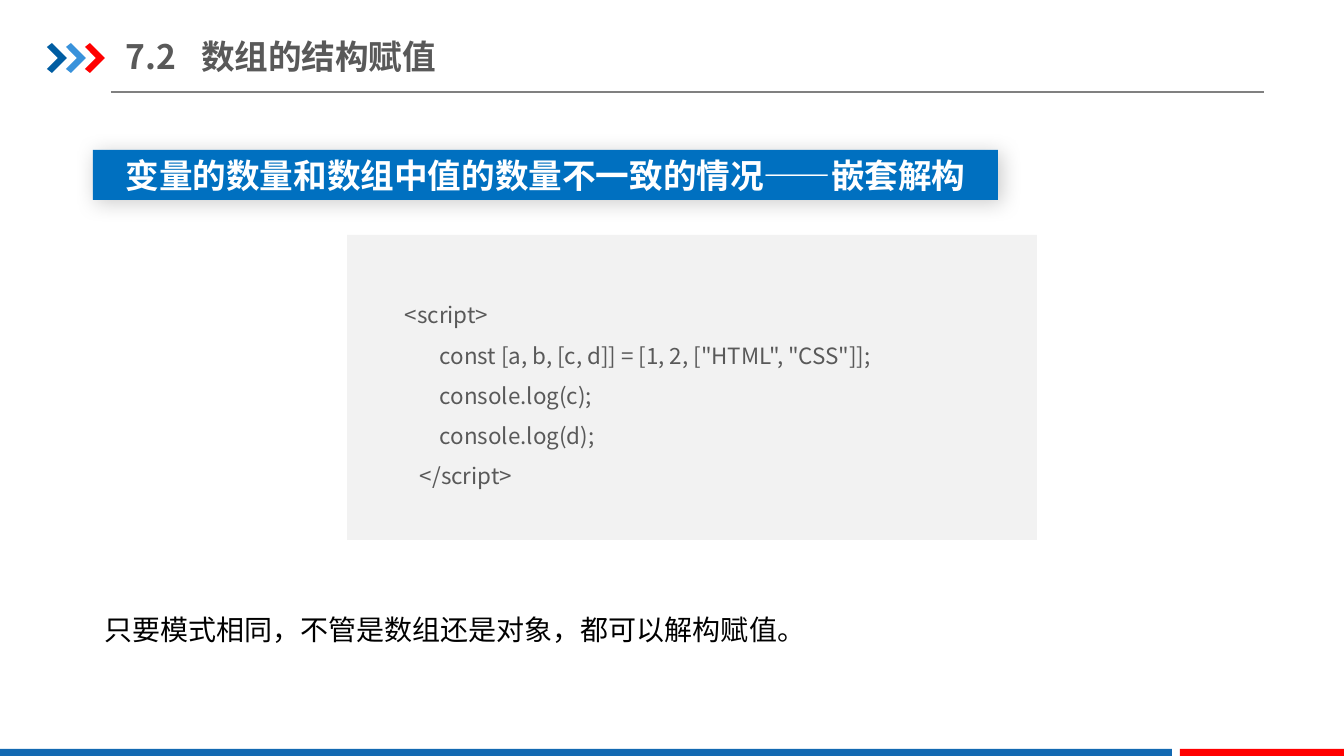
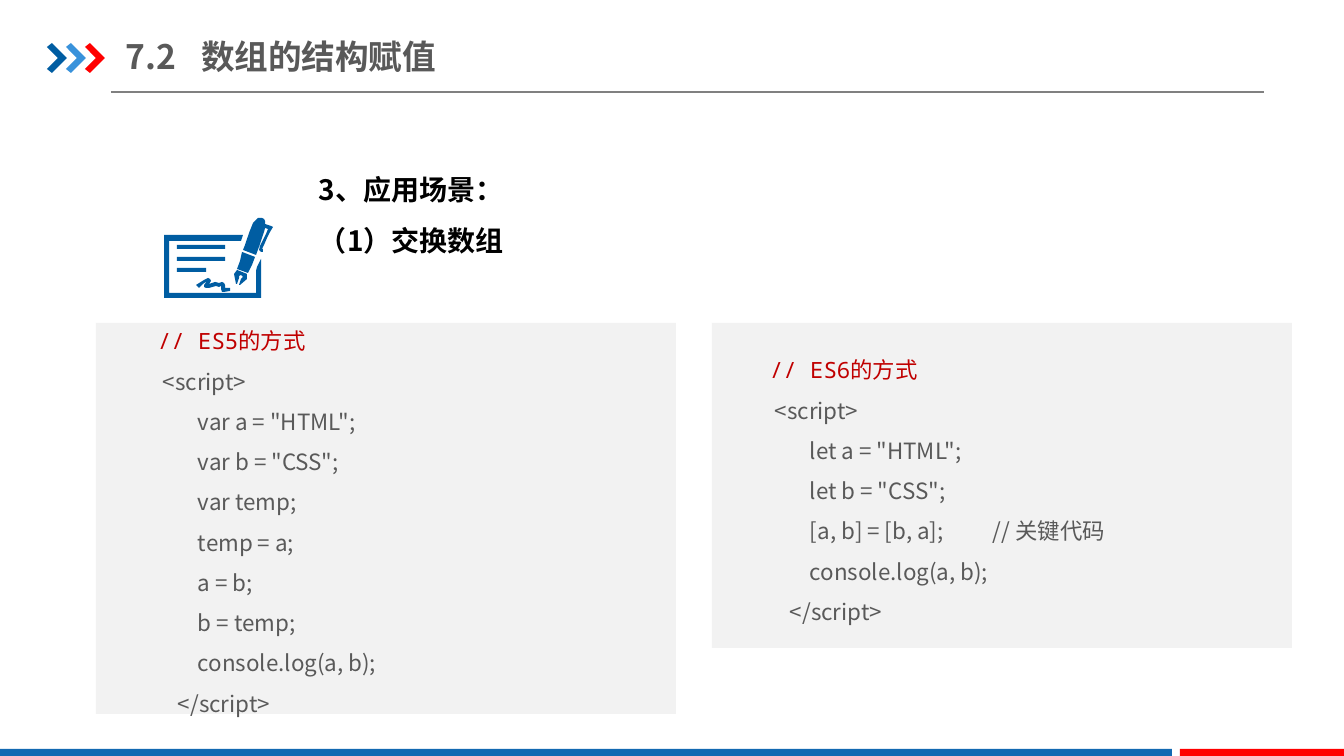
from dataclasses import dataclass

from lxml.etree import SubElement
from pptx import Presentation
from pptx.dml.color import RGBColor
from pptx.enum.shapes import MSO_CONNECTOR as Connector, MSO_SHAPE as Shape
from pptx.enum.text import MSO_ANCHOR as Anchor, MSO_AUTO_SIZE as AutoSize, PP_ALIGN as Align
from pptx.oxml import parse_xml
from pptx.oxml.ns import nsdecls, qn
from pptx.slide import Slide, SlideLayout
from pptx.util import Emu, Pt

# Shared measures, colours and fonts
WIDTH, HEIGHT = 1344, 756
SCALE = 12192000 / WIDTH
SANS, MONO = "Noto Sans CJK SC", "Noto Sans Mono"
NAVY, SKY, RED, BAR_BLUE, BANNER_BLUE = "005DA2", "3992DB", "FF0000", "1369B2", "0070C0"
GREY, RULE_GREY, PANEL_GREY = "595959", "808080", "F2F2F2"
BLACK, WHITE, COMMENT_RED = "000000", "FFFFFF", "C00000"
CODE_TABS = (20, 40, 223)
TITLE_TABS = (75,)
TITLE = "7.2\t数组的结构赋值"

Points = list[tuple[int, int]]


@dataclass(frozen=True)
class Area:
    left: int
    top: int
    width: int
    height: int


@dataclass(frozen=True)
class Style:
    size: int
    color: str
    bold: bool = False
    font: str = SANS
    spacing: float = 1.0
    align: Align = Align.LEFT
    tabs: tuple[int, ...] = ()


@dataclass(frozen=True)
class CodePanel:
    panel: Area
    text: Area
    lines: list[str]
    comment: str = ""


TITLE_STYLE = Style(24, GREY, bold=True, tabs=TITLE_TABS)
BANNER_STYLE = Style(24, WHITE, bold=True, align=Align.CENTER)
NOTE_STYLE = Style(20, BLACK, spacing=1.5)
HEADING_STYLE = Style(20, BLACK, bold=True, spacing=1.5)
CODE_STYLE = Style(16, GREY, spacing=1.5, tabs=CODE_TABS)
COMMENT_STYLE = Style(16, COMMENT_RED, font=MONO, spacing=1.5)


def px(length: int) -> Emu:
    return Emu(round(length * SCALE))


def colour(code: str) -> RGBColor:
    return RGBColor.from_string(code)


def place(shape, area: Area) -> None:
    shape.left, shape.top = px(area.left), px(area.top)
    shape.width, shape.height = px(area.width), px(area.height)


# Text
def style_paragraph(para, style: Style) -> None:
    para.alignment = style.align
    para.line_spacing = style.spacing
    font = para.font
    font.size, font.bold, font.name = Pt(style.size), style.bold, style.font
    font.color.rgb = colour(style.color)
    defaults = para._p.pPr.find(qn("a:defRPr"))
    SubElement(defaults, qn("a:ea")).set("typeface", SANS)
    if style.tabs:
        stops = parse_xml(f"<a:tabLst {nsdecls('a')}/>")
        for stop in style.tabs:
            tab = SubElement(stops, qn("a:tab"))
            tab.set("pos", str(px(stop)))
            tab.set("algn", "l")
        defaults.addprevious(stops)


def write(shape, lines: list[tuple[str, Style]], inset: tuple[int, int] = (10, 5),
          anchor: Anchor = Anchor.TOP) -> None:
    frame = shape.text_frame
    frame.word_wrap = True
    frame.auto_size = AutoSize.NONE
    frame.vertical_anchor = anchor
    frame.margin_left = frame.margin_right = px(inset[0])
    frame.margin_top = frame.margin_bottom = px(inset[1])
    for number, (text, style) in enumerate(lines):
        para = frame.add_paragraph() if number else frame.paragraphs[0]
        para.text = text
        style_paragraph(para, style)


def add_text(page: Slide, area: Area, lines: list[tuple[str, Style]],
             inset: tuple[int, int] = (10, 5)) -> None:
    box = page.shapes.add_textbox(0, 0, 0, 0)
    place(box, area)
    write(box, lines, inset)


# Shapes
def paint(shape, fill: str) -> None:
    shape.shadow.inherit = False
    shape.fill.solid()
    shape.fill.fore_color.rgb = colour(fill)
    shape.line.fill.background()


def add_rectangle(page: Slide, area: Area, fill: str):
    rectangle = page.shapes.add_shape(Shape.RECTANGLE, 0, 0, 0, 0)
    place(rectangle, area)
    paint(rectangle, fill)
    return rectangle


def add_outline(page: Slide, contours: list[Points], fill: str):
    builder = page.shapes.build_freeform(*contours[0][0], scale=SCALE)
    for number, contour in enumerate(contours):
        if number:
            builder.move_to(*contour[0])
        builder.add_line_segments(contour[1:], close=True)
    outline = builder.convert_to_shape()
    paint(outline, fill)
    return outline


def add_rule(page: Slide, left: int, right: int, top: int):
    rule = page.shapes.add_connector(Connector.STRAIGHT, px(left), px(top), px(right), px(top))
    rule.line.color.rgb = colour(RULE_GREY)
    rule.line.width = Pt(0.75)
    SubElement(rule.element.spPr, qn("a:effectLst"))
    return rule


# Shared layout: rule, chevrons and footer bars
CHEVRON: Points = [(47, 47), (52, 43), (67, 58), (52, 73), (47, 69), (58, 58)]
CHEVRON_STEP = 19


def furnish(layout: SlideLayout, page: Slide) -> None:
    parts = [add_rule(page, 111, 1264, 92)]
    for number, fill in enumerate((NAVY, SKY, RED)):
        shifted = [(x + number * CHEVRON_STEP, y) for x, y in CHEVRON]
        parts.append(add_outline(page, [shifted], fill))
    parts.append(add_rectangle(page, Area(0, 749, 1172, 7), BAR_BLUE))
    parts.append(add_rectangle(page, Area(1180, 749, 164, 7), RED))
    for number, part in enumerate(parts, start=20):
        part.element.xpath(".//p:cNvPr")[0].set("id", str(number))
        layout.shapes.element.append(part.element)


def add_title(page: Slide) -> None:
    title = page.shapes.title
    place(title, Area(126, 29, 429, 55))
    write(title, [(TITLE, TITLE_STYLE)], (0, 7), Anchor.MIDDLE)


# Slide parts
def add_code(page: Slide, code: CodePanel) -> None:
    add_rectangle(page, code.panel, PANEL_GREY)
    comment = [(code.comment, COMMENT_STYLE)] if code.comment else []
    add_text(page, code.text, comment + [(line, CODE_STYLE) for line in code.lines])


def add_banner(page: Slide, area: Area, text: str) -> None:
    banner = add_rectangle(page, area, BANNER_BLUE)
    write(banner, [(text, BANNER_STYLE)], anchor=Anchor.MIDDLE)
    effects = banner.element.spPr.find(qn("a:effectLst"))
    effects.append(parse_xml(
        f'<a:outerShdw {nsdecls("a")} blurRad="{Pt(15)}" dist="{Pt(3)}" dir="2700000" '
        f'algn="tl" rotWithShape="0"><a:srgbClr val="{BLACK}"><a:alpha val="20000"/>'
        "</a:srgbClr></a:outerShdw>"))


def box_points(left: int, top: int, right: int, bottom: int) -> Points:
    return [(left, top), (left, bottom), (right, bottom), (right, top)]


SHEET: Points = [
    (164, 235), (243, 235), (241, 241), (169, 241), (169, 293), (256, 293), (256, 271),
    (257, 267), (259, 263), (261, 259), (261, 298), (164, 298)]
SIGNATURE: Points = [
    (196, 285), (199, 288), (203, 284), (207, 281), (204, 285), (204, 287), (206, 288),
    (209, 288), (216, 286), (219, 287), (221, 286), (221, 289), (222, 292), (224, 292),
    (230, 291), (230, 288), (225, 288), (225, 285), (224, 283), (222, 282), (219, 283),
    (215, 282), (209, 284), (211, 281), (210, 279), (208, 278), (204, 280)]
PEN_GRIP: Points = [(255, 257), (242, 252), (240, 261), (237, 269), (248, 273), (252, 265)]
PEN_NIB: Points = [
    (237, 270), (234, 274), (236, 284), (237, 284), (239, 278), (239, 276), (241, 275),
    (243, 277), (241, 279), (239, 285), (240, 285), (247, 279), (247, 274)]
PEN_BARREL: Points = [
    (264, 232), (265, 228), (268, 229), (266, 234), (263, 240), (260, 246), (259, 250),
    (260, 251), (261, 252), (263, 252), (263, 249), (262, 249), (264, 245), (267, 238),
    (270, 232), (273, 227), (271, 226), (265, 224), (265, 221), (264, 219), (262, 218),
    (258, 218), (256, 220), (253, 223), (251, 228), (249, 233), (245, 245), (243, 250),
    (256, 255), (260, 244)]
WRITTEN_LINES = [box_points(177, top, right, top + 4)
                 for top, right in ((245, 225), (257, 225), (268, 206))]

NESTED = CodePanel(Area(347, 235, 690, 305), Area(390, 283, 603, 209), [
    " <script>",
    '\t\tconst [a, b, [c, d]] = [1, 2, ["HTML", "CSS"]];',
    "\t\tconsole.log(c);",
    "\t\tconsole.log(d);",
    "\t</script>"])
SWAP_ES6 = CodePanel(Area(712, 323, 580, 325), Area(760, 338, 507, 295), [
    " <script>",
    '\t\tlet a = "HTML";',
    '\t\tlet b = "CSS";',
    "\t\t[a, b] = [b, a];\t// 关键代码",
    "\t\tconsole.log(a, b);",
    "\t</script>"], "// ES6的方式")
SWAP_ES5 = CodePanel(Area(96, 323, 580, 391), Area(148, 309, 507, 417), [
    " <script>",
    '\t\tvar a = "HTML";',
    '\t\tvar b = "CSS";',
    "\t\tvar temp;",
    "\t\ttemp = a;",
    "\t\ta = b;",
    "\t\tb = temp;",
    "\t\tconsole.log(a, b);",
    "\t</script>"], "// ES5的方式")


def build_nested(page: Slide) -> None:
    add_title(page)
    add_code(page, NESTED)
    add_banner(page, Area(93, 150, 905, 50), "变量的数量和数组中值的数量不一致的情况——嵌套解构")
    add_text(page, Area(91, 589, 1151, 58),
             [("只要模式相同，不管是数组还是对象，都可以解构赋值。", NOTE_STYLE)], (13, 7))


def build_swap(page: Slide) -> None:
    add_title(page)
    headings = ("3、应用场景：", "（1）交换数组")
    add_text(page, Area(306, 149, 953, 115),
             [(heading, HEADING_STYLE) for heading in headings], (13, 7))
    add_outline(page, [SHEET, *WRITTEN_LINES, SIGNATURE, PEN_GRIP, PEN_NIB, PEN_BARREL], NAVY)
    for code in (SWAP_ES6, SWAP_ES5):
        add_code(page, code)


def main() -> None:
    deck = Presentation()
    deck.slide_width, deck.slide_height = px(WIDTH), px(HEIGHT)
    layout = deck.slide_layouts[5]
    pages = [deck.slides.add_slide(layout) for _ in range(2)]
    furnish(layout, pages[0])
    for page, build in zip(pages, (build_nested, build_swap)):
        build(page)
    deck.save("out.pptx")


main()
